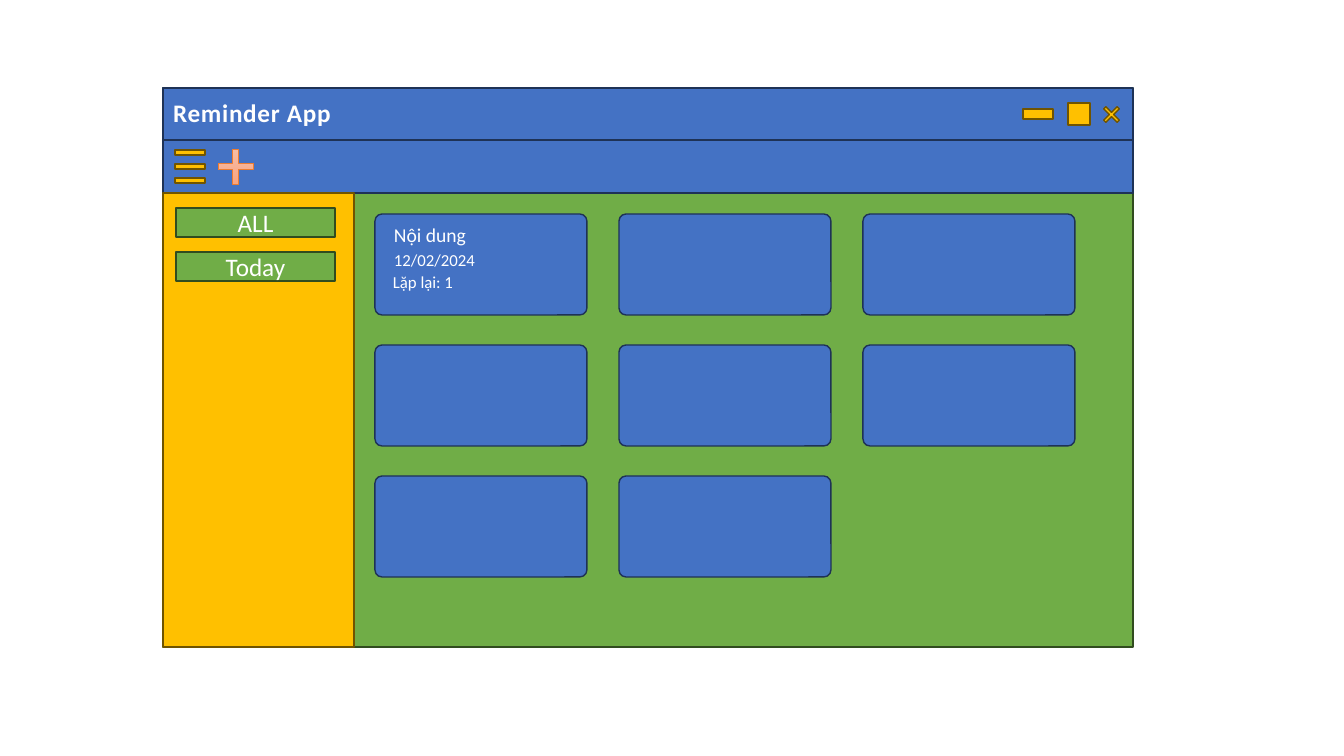
"""Draw the main window of a reminder app."""
from pptx import Presentation
from pptx.dml.color import RGBColor
from pptx.enum.shapes import MSO_SHAPE as SHAPE
from pptx.enum.text import MSO_ANCHOR as ANCHOR, MSO_AUTO_SIZE as SIZE, PP_ALIGN as ALIGN
from pptx.oxml import parse_xml
from pptx.oxml.ns import nsdecls
from pptx.util import Pt

SCALE = 914400 / 100.8
FONT = "Calibri"
BLUE = RGBColor(0x44, 0x72, 0xC4)
NAVY = RGBColor(0x1E, 0x32, 0x56)
GREEN = RGBColor(0x70, 0xAD, 0x47)
MOSS = RGBColor(0x31, 0x4C, 0x1F)
GOLD = RGBColor(0xFF, 0xC0, 0x00)
BROWN = RGBColor(0x70, 0x54, 0x00)
ORANGE = RGBColor(0xED, 0x7D, 0x31)
PEACH = RGBColor(0xF7, 0xBD, 0xA5)
CORAL = RGBColor(0xF8, 0xA5, 0x82)
WHITE = RGBColor(0xFF, 0xFF, 0xFF)
PEARL = RGBColor(0xFE, 0xFE, 0xFE)
EDGE = {BLUE: NAVY, GREEN: MOSS, GOLD: BROWN}


def px(num):
    """Turn pixels into EMU."""
    return round(num * SCALE)


def apply(obj, vals):
    """Set each named value on an object."""
    for name, val in vals.items():
        setattr(obj, name, val)


def place(shape, box):
    """Move and size a shape to a pixel box."""
    apply(shape, dict(zip(("left", "top", "width", "height"), map(px, box))))


def write(shape, text, size, frame, align=ALIGN.LEFT, color=WHITE, bold=False):
    """Write one line of text into a shape and return its run."""
    apply(shape.text_frame, frame)
    para = shape.text_frame.paragraphs[0]
    apply(para, {"alignment": align, "line_spacing": 1.0})
    run = para.add_run()
    run.text = text
    apply(run.font, {"name": FONT, "size": Pt(size), "bold": bold})
    run.font.color.rgb = color
    return run


def draw(slide, box, fill, kind=SHAPE.RECTANGLE, adj=None):
    """Add a filled shape with its darker edge."""
    shape = slide.shapes.add_shape(kind, *map(px, box))
    shape.shadow.inherit = False
    shape.fill.solid()
    shape.fill.fore_color.rgb = fill
    shape.line.color.rgb = EDGE[fill]
    shape.line.width = Pt(1)
    if adj is not None:
        shape.adjustments[0] = adj
    return shape


def label(slide, box, text, size, wrap=True):
    """Add a white line of text."""
    shape = slide.shapes.add_textbox(*map(px, box))
    write(shape, text, size, {"word_wrap": wrap, "auto_size": SIZE.SHAPE_TO_FIT_TEXT})


def button(slide, box, text):
    """Add a green side button."""
    frame = {"word_wrap": True, "vertical_anchor": ANCHOR.MIDDLE}
    write(draw(slide, box, GREEN), text, 18, frame, ALIGN.CENTER)


def heading(slide, box, text):
    """Set the outlined title in front of its bar."""
    title = slide.shapes.title
    slide.shapes._spTree.append(title._element)
    place(title, box)
    frame = {"word_wrap": False, "auto_size": SIZE.SHAPE_TO_FIT_TEXT,
             "vertical_anchor": ANCHOR.TOP}
    run = write(title, text, 18, frame, color=PEARL, bold=True)
    props = run.font._element
    props.set("spc", "50")
    props.insert(0, parse_xml(
        f'<a:ln {nsdecls("a")} w="{Pt(0.75)}"><a:solidFill>'
        f'<a:srgbClr val="{BLUE}"/></a:solidFill></a:ln>'))


def plus(slide, box):
    """Add the shaded plus icon."""
    shape = draw(slide, box, GOLD, SHAPE.CROSS, 0.41)
    shape.fill.gradient()
    shape.fill.gradient_angle = 270
    for stop, color in zip(shape.fill.gradient_stops, (PEACH, CORAL)):
        stop.color.rgb = color
    shape.line.color.rgb = ORANGE
    shape.line.width = Pt(0.5)


def main():
    """Build and save the slide."""
    deck = Presentation()
    apply(deck, {"slide_width": px(1344), "slide_height": px(756)})
    slide = deck.slides.add_slide(deck.slide_layouts[5])

    draw(slide, (163, 88, 970, 559), GREEN)
    for top in (88, 140):
        draw(slide, (163, top, 970, 53), BLUE)
    draw(slide, (1102, 105, 19, 19), GOLD, SHAPE.CROSS, 0.42).rotation = 45
    for box in ((1023, 109, 30, 10), (1068, 103, 22, 22)):
        draw(slide, box, GOLD)
    for row in range(3):
        draw(slide, (175, 150 + 14 * row, 30, 5), GOLD)
    heading(slide, (163, 92, 179, 40), "Reminder App")
    plus(slide, (218, 149, 35, 35))

    draw(slide, (163, 193, 191, 454), GOLD)
    for row, text in enumerate(("ALL", "Today")):
        button(slide, (176, 208 + 44 * row, 159, 29), text)

    for num in range(8):
        row, col = divmod(num, 3)
        box = (375 + 244 * col, 214 + 131 * row, 212, 101)
        draw(slide, box, BLUE, SHAPE.ROUNDED_RECTANGLE, 0.07)
    label(slide, (384, 218, 97, 34), "Nội dung", 14)
    label(slide, (384, 245, 107, 30), "12/02/2024", 12)
    label(slide, (383, 267, 82, 30), "Lặp lại: 1", 12, wrap=False)

    deck.save("out.pptx")


if __name__ == "__main__":
    main()
